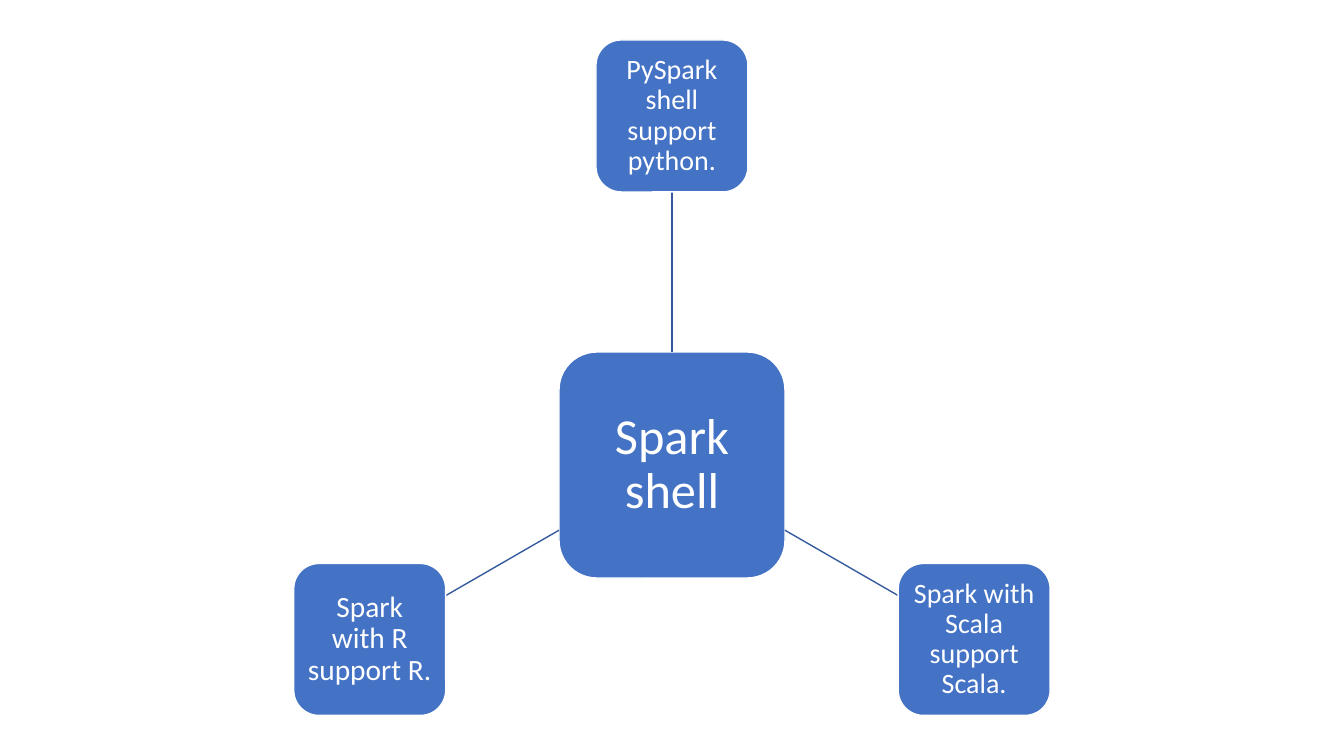
"""Builds a slide with a radial diagram of the Spark shell and its three languages."""
from math import cos, radians, sin

from lxml.etree import SubElement
from pptx import Presentation
from pptx.dml.color import RGBColor
from pptx.enum.shapes import MSO_CONNECTOR, MSO_SHAPE
from pptx.enum.text import MSO_ANCHOR, PP_ALIGN
from pptx.oxml.ns import qn
from pptx.util import Pt

SCALE = 12192000 / 1344
BOX_BLUE = RGBColor(0x44, 0x72, 0xC4)
LINE_BLUE = RGBColor(0x36, 0x5B, 0x9D)
WHITE = RGBColor(0xFF, 0xFF, 0xFF)

HUB_X, HUB_Y, HUB_SIZE = 672, 465, 226
RADIUS, SPOKE_SIZE = 349, 152
SPOKES = [
    (-90, "PySpark shell support python.", 20),
    (30, "Spark with Scala support Scala.", 20),
    (150, "Spark with R support R.", 21),
]


def emu(pixels):
    return round(pixels * SCALE)


def add_box(slide, center_x, center_y, size, text, font_size, inset):
    shape = slide.shapes.add_shape(
        MSO_SHAPE.ROUNDED_RECTANGLE,
        emu(center_x - size / 2), emu(center_y - size / 2), emu(size), emu(size),
    )
    shape.shadow.inherit = False
    shape.fill.solid()
    shape.fill.fore_color.rgb = BOX_BLUE
    shape.line.color.rgb = WHITE
    shape.line.width = Pt(1)
    frame = shape.text_frame
    frame_format = {"word_wrap": True, "vertical_anchor": MSO_ANCHOR.MIDDLE}
    for side in ("left", "top", "right", "bottom"):
        frame_format[f"margin_{side}"] = emu(inset)
    for name, value in frame_format.items():
        setattr(frame, name, value)
    paragraph = frame.paragraphs[0]
    paragraph.alignment = PP_ALIGN.CENTER
    paragraph.line_spacing = 0.9
    run = paragraph.add_run()
    run.text = text
    for name, value in {"name": "Calibri", "size": Pt(font_size)}.items():
        setattr(run.font, name, value)
    run.font.color.rgb = WHITE


presentation = Presentation()
presentation.slide_width = emu(1344)
presentation.slide_height = emu(756)
slide = presentation.slides.add_slide(presentation.slide_layouts[6])

add_box(slide, HUB_X, HUB_Y, HUB_SIZE, "Spark shell", 36, 10)

for angle, text, font_size in SPOKES:
    across, down = cos(radians(angle)), sin(radians(angle))
    reach = max(abs(across), abs(down))
    start = HUB_SIZE / 2 / reach
    end = RADIUS - SPOKE_SIZE / 2 / reach
    connector = slide.shapes.add_connector(
        MSO_CONNECTOR.STRAIGHT,
        emu(HUB_X + start * across), emu(HUB_Y + start * down),
        emu(HUB_X + end * across), emu(HUB_Y + end * down),
    )
    connector.line.color.rgb = LINE_BLUE
    connector.line.width = Pt(1)
    SubElement(connector.element.spPr, qn("a:effectLst"))
    add_box(
        slide, HUB_X + RADIUS * across, HUB_Y + RADIUS * down,
        SPOKE_SIZE, text, font_size, 6,
    )

presentation.save("out.pptx")
